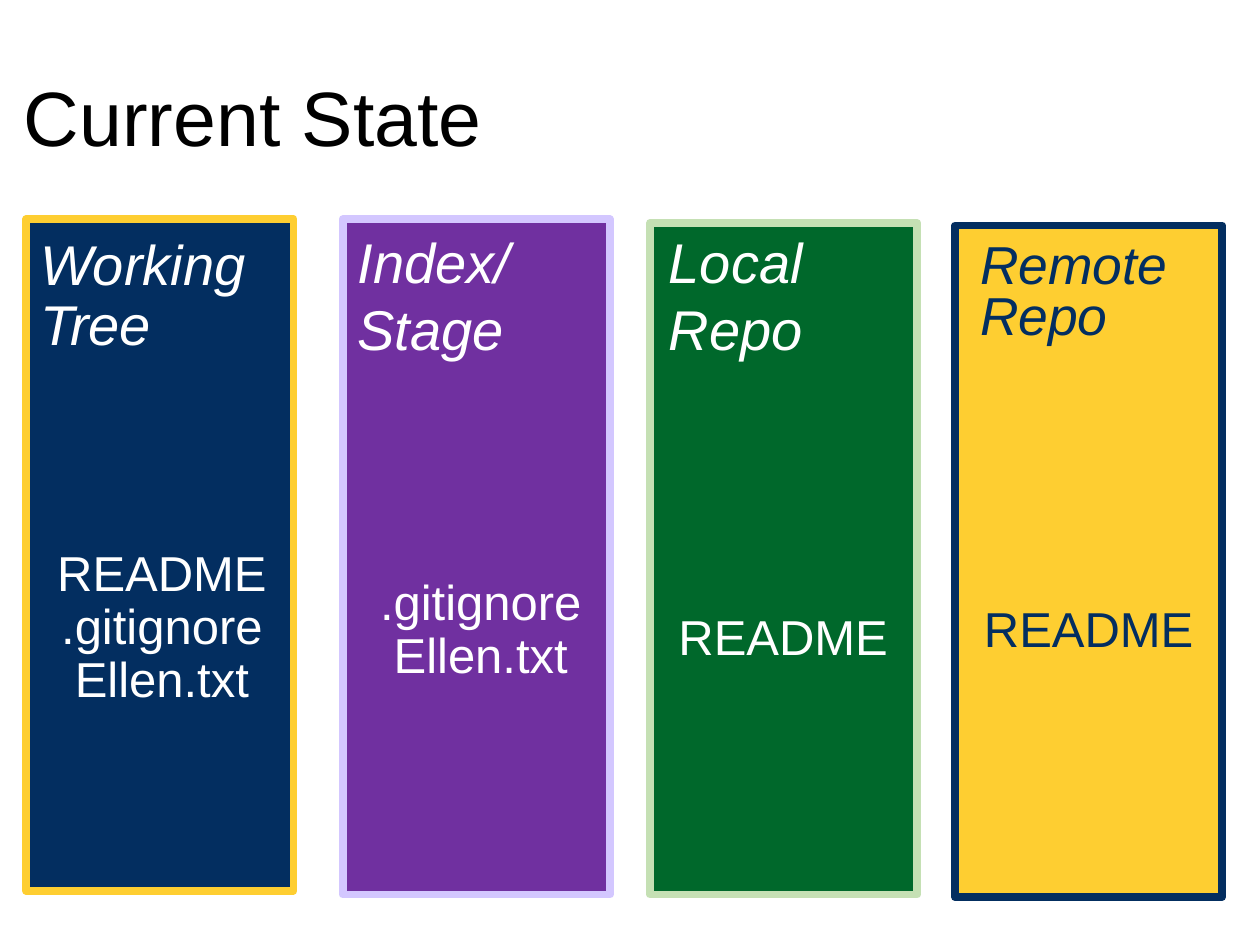
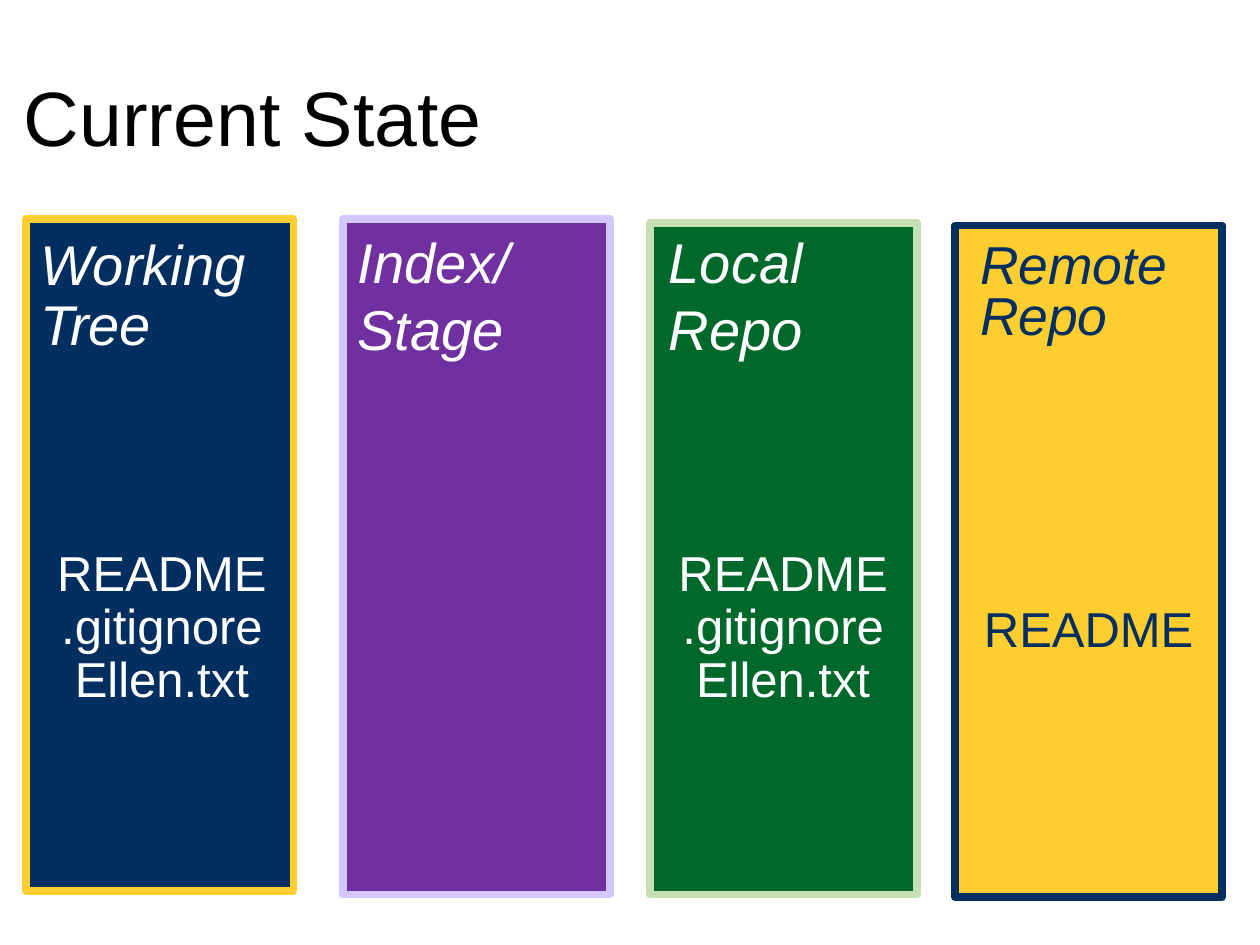
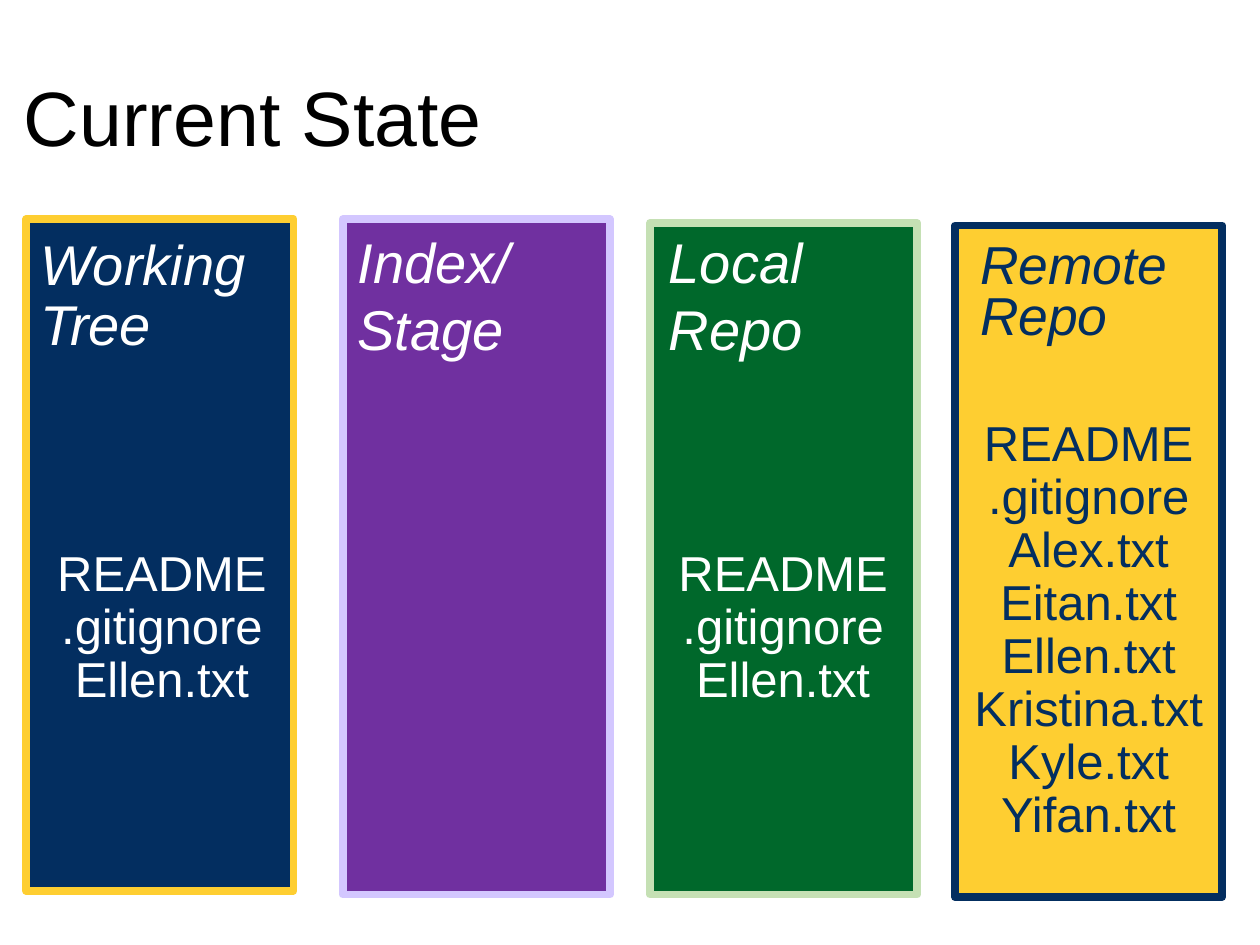
"""Builds three slides that show where files live in a version control workflow."""
from dataclasses import dataclass

from lxml import etree
from pptx import Presentation, util as u
from pptx.dml.color import RGBColor
from pptx.enum import shapes, text
from pptx.oxml.ns import qn

NAVY = RGBColor(0x03, 0x2E, 0x60)
GOLD = RGBColor(0xFE, 0xCE, 0x31)
PURPLE = RGBColor(0x70, 0x30, 0xA0)
LILAC = RGBColor(0xD3, 0xC7, 0xFF)
GREEN = RGBColor(0x00, 0x68, 0x2B)
MINT = RGBColor(0xC5, 0xE0, 0xB4)
WHITE = RGBColor(0xFF, 0xFF, 0xFF)
BLACK = RGBColor(0x00, 0x00, 0x00)

FONT = "Arial"
COLUMNS, ROWS = 100, 75
TITLE_BOX = (0.9, 2.4, 86.2, 14.5)


@dataclass
class Panel:
    """One storage area: its frame, its heading and the place of its files."""
    heading: str
    frame: tuple
    heading_box: tuple
    files_box: tuple
    fill: RGBColor
    border: RGBColor
    ink: RGBColor = WHITE
    size: float = 32
    spacing: float = 1.0
    before: float = 0


WORKING = Panel("Working Tree", (2.1, 17.4, 21.2, 53.3), (2.2, 18, 20.4, 11.2),
                (2.6, 29.1, 20.5, 41.6), NAVY, GOLD, spacing=0.9)
REMOTE = Panel("Remote Repo", (75.8, 17.9, 21.2, 53.3), (76.8, 18.6, 23.2, 9.6),
               (76, 28.8, 20.8, 42.6), GOLD, NAVY, NAVY, 30.5, 0.8, 10)
INDEX = Panel("Index/\nStage", (27.2, 17.4, 21.2, 53.6), (27.4, 17.2, 18.6, 12.4),
              (27.9, 29.3, 20.5, 41.6), PURPLE, LILAC)
LOCAL = Panel("Local Repo", (51.6, 17.7, 21.2, 53.3), (52.1, 17.2, 18.9, 12.4),
              (51.9, 29.1, 20.5, 41.6), GREEN, MINT)
PANELS = (WORKING, REMOTE, INDEX, LOCAL)


def write(shape, content, size=28, color=WHITE, italic=False,
          align=text.PP_ALIGN.LEFT, spacing=0.9, before=0):
    """Fill a shape with one paragraph per line of content."""
    frame = shape.text_frame
    frame.word_wrap = True
    frame.auto_size = text.MSO_AUTO_SIZE.NONE
    frame.vertical_anchor = text.MSO_ANCHOR.MIDDLE
    frame.text = content
    for paragraph in frame.paragraphs:
        paragraph.alignment = align
        paragraph.line_spacing = spacing
        paragraph.space_before = u.Pt(before)
        paragraph.space_after = u.Pt(0)
        properties = paragraph._p.get_or_add_pPr()
        properties.set("marL", "0")
        properties.set("indent", "0")
        etree.SubElement(properties, qn("a:buNone"))
        for run in paragraph.runs:
            run.font.name = FONT
            run.font.size = u.Pt(size)
            run.font.italic = italic
            run.font.color.rgb = color


class Deck:
    """Holds the presentation, its grid and the current slide."""

    def __init__(self):
        self.presentation = Presentation()
        self.presentation.slide_width = u.Inches(10)
        self.presentation.slide_height = u.Inches(7.5)
        self.slide = None

    def place(self, box):
        """Turn a box in grid columns and rows into lengths."""
        column = self.presentation.slide_width / COLUMNS
        row = self.presentation.slide_height / ROWS
        return [round(n * unit) for n, unit in zip(box, (column, row) * 2)]

    def move(self, shape, box):
        """Put a placeholder at a box and bring it to the front."""
        shape.left, shape.top, shape.width, shape.height = self.place(box)
        self.slide.shapes.element.append(shape.element)
        return shape

    def start(self, title):
        """Add a slide with its title."""
        layout = self.presentation.slide_layouts[1]
        self.slide = self.presentation.slides.add_slide(layout)
        write(self.move(self.slide.shapes.title, TITLE_BOX), title, size=44, color=BLACK)

    def panel(self, panel):
        """Draw the bordered frame of a panel."""
        shape = self.slide.shapes.add_shape(
            shapes.MSO_SHAPE.RECTANGLE, *self.place(panel.frame))
        shape.shadow.inherit = False
        shape.fill.solid()
        shape.fill.fore_color.rgb = panel.fill
        shape.line.color.rgb = panel.border
        shape.line.width = u.Pt(4.5)

    def label(self, content, box, **style):
        """Add a text box."""
        write(self.slide.shapes.add_textbox(*self.place(box)), content, **style)

    def heading(self, panel):
        """Write the name of a panel."""
        self.label(panel.heading, panel.heading_box, size=panel.size, color=panel.ink,
                   italic=True, spacing=panel.spacing, before=panel.before)

    def files(self, panel, names, drop=0):
        """List files in a panel, using the body placeholder for the working tree."""
        style = dict(color=panel.ink, align=text.PP_ALIGN.CENTER,
                     before=panel.before if len(names) == 1 else 0)
        content = "\n".join(names)
        left, top, width, height = panel.files_box
        box = (left, top + drop, width, height)
        if panel is WORKING:
            write(self.move(self.slide.placeholders[1], box), content, **style)
        else:
            self.label(content, box, **style)

    def state(self, index, local, remote, drop=0):
        """Build one slide with the files that each panel holds."""
        self.start("Current State")
        for panel in PANELS:
            self.panel(panel)
        self.files(WORKING, TRACKED)
        self.files(REMOTE, remote)
        for panel in (INDEX, LOCAL, WORKING, REMOTE):
            self.heading(panel)
        self.files(LOCAL, local, drop)
        if index:
            self.files(INDEX, index)


README = ["README"]
ADDED = [".gitignore", "Ellen.txt"]
TRACKED = README + ADDED
PEOPLE = ("Alex", "Eitan", "Ellen", "Kristina", "Kyle", "Yifan")
SHARED = README + [".gitignore"] + [f"{person}.txt" for person in PEOPLE]

deck = Deck()
deck.state(ADDED, README, README, drop=0.9)
deck.state([], TRACKED, README)
deck.state([], TRACKED, SHARED)
deck.presentation.save("out.pptx")
